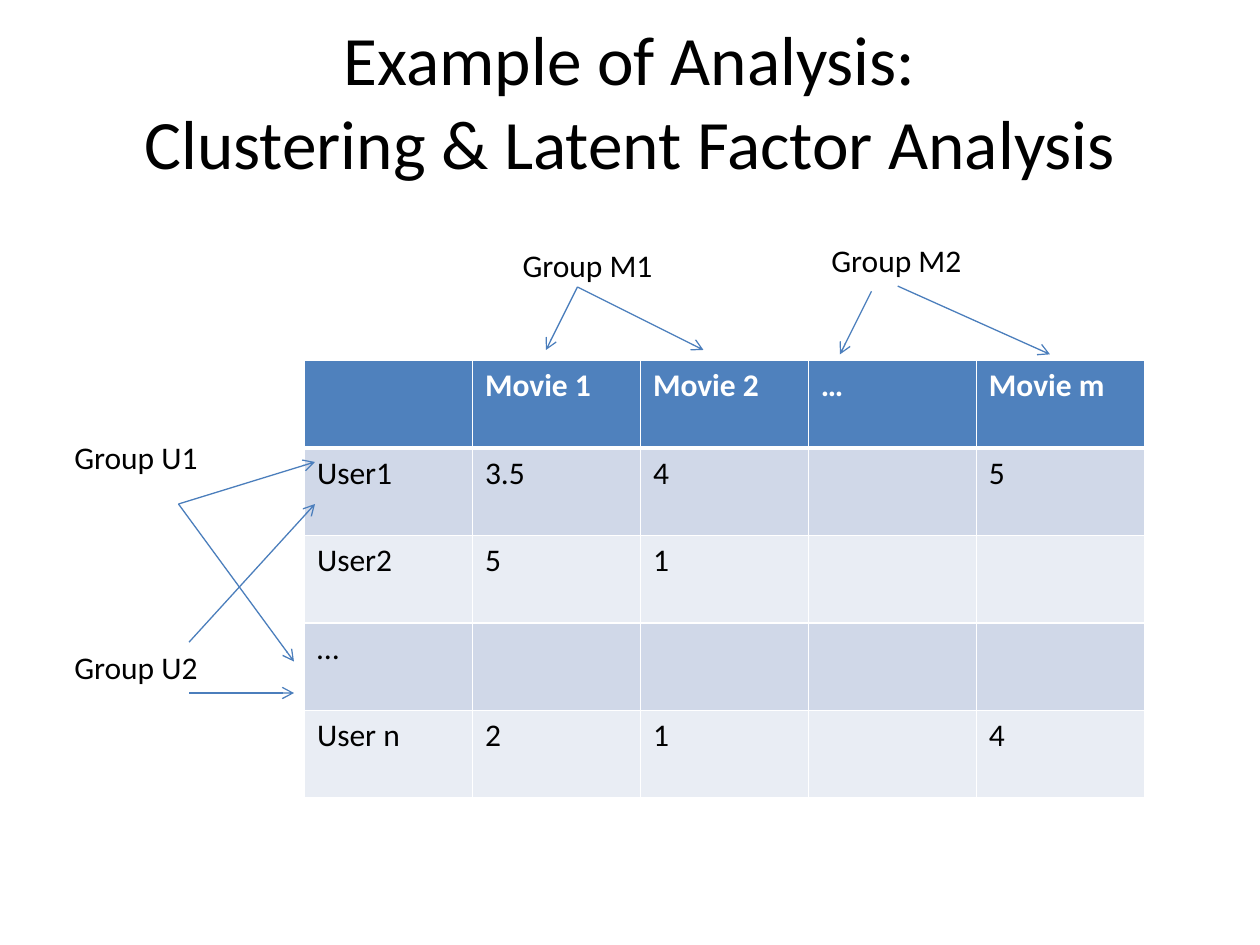
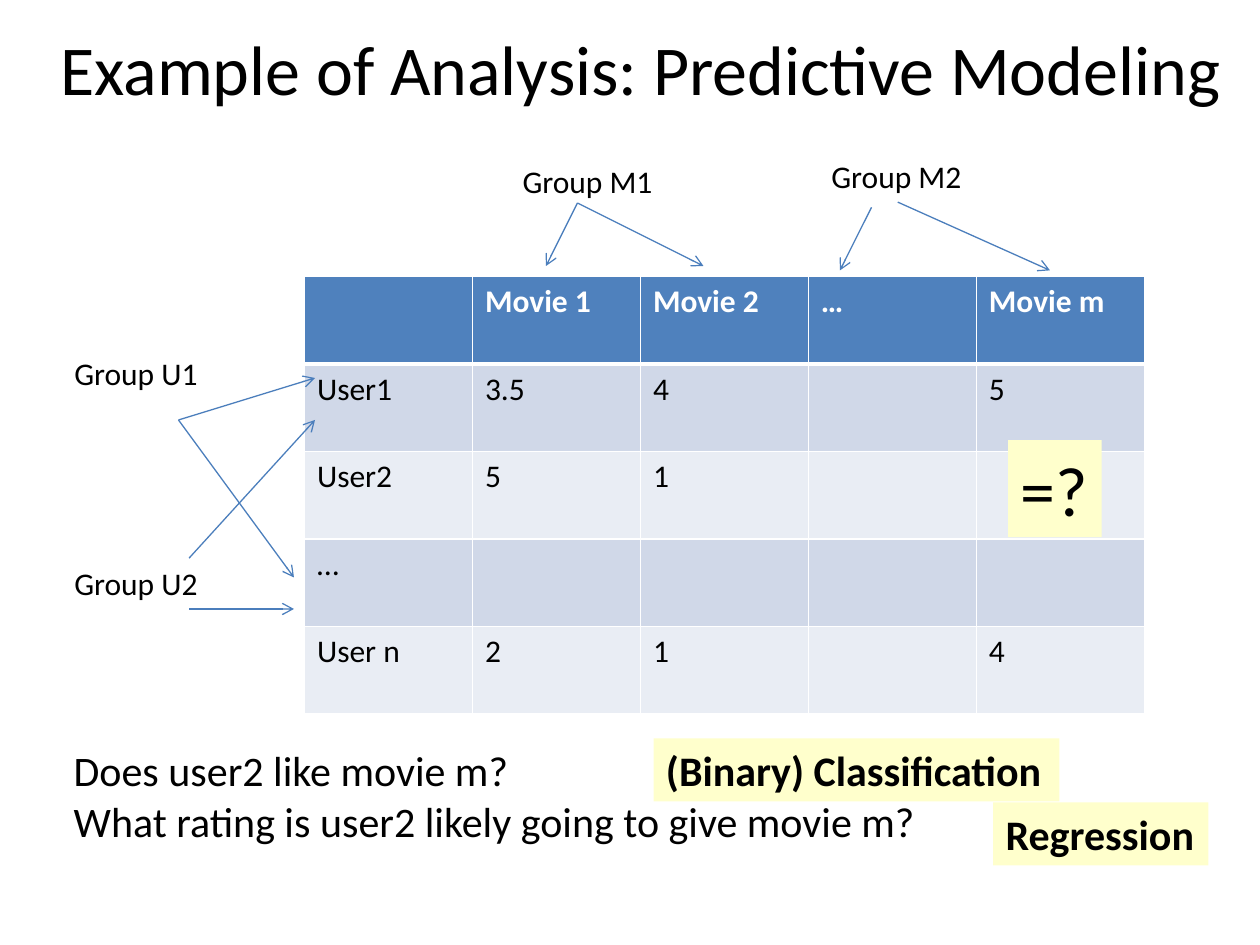
"""Build two slides on analysing a table of movie ratings."""
from lxml import etree
from pptx import Presentation
from pptx.dml.color import RGBColor
from pptx.enum import shapes, text
from pptx.oxml import ns
from pptx.util import Pt

FONT = "Calibri"
BLACK = RGBColor(0x00, 0x00, 0x00)
WHITE = RGBColor(0xFF, 0xFF, 0xFF)
HEADER = RGBColor(0x4F, 0x81, 0xBD)
BANDS = (RGBColor(0xE9, 0xED, 0xF4), RGBColor(0xD0, 0xD8, 0xE8))
ARROW = RGBColor(0x4B, 0x7E, 0xBC)
NOTE = RGBColor(0xFF, 0xFF, 0xCC)
LEFT, CENTER, RIGHT = text.PP_ALIGN.LEFT, text.PP_ALIGN.CENTER, text.PP_ALIGN.RIGHT

RATINGS = [
    ["", "Movie 1", "Movie 2", "…", "Movie m"],
    ["User1", "3.5", "4", "", "5"],
    ["User2", "5", "1", "", ""],
    ["…", "", "", "", ""],
    ["User n", "2", "1", "", "4"],
]
GRID_LEFT, COLUMN_WIDTH, ROW_HEIGHT = 174, 96, 50

# Vertical places of groups and arrows are measured from the top of the grid.
GROUPS = [
    ("Group M1", 291.5, -69, LEFT),
    ("Group M2", 468, -72, LEFT),
    ("Group U1", 30, 41, RIGHT),
    ("Group U2", 30, 161, RIGHT),
]
ARROWS = [
    (330, -42, 312, -6),
    (330, -42, 402, -6),
    (513, -42.5, 600, -3.5),
    (498, -39.5, 480, -3.5),
    (102, 82, 180, 58),
    (102, 82, 168, 172),
    (108, 190, 168, 190),
    (108, 161, 180, 82),
]

SLIDES = [
    {
        "title": ["Example of Analysis:", "Clustering & Latent Factor Analysis"],
        "title_place": (0, 18, 720, 78),
        "title_size": 39.6,
        "grid_top": 206,
        "questions": [],
        "notes": [],
    },
    {
        "title": ["Example of Analysis: Predictive Modeling"],
        "title_place": (12, 0, 708, 77),
        "title_size": 40,
        "grid_top": 158,
        "questions": [
            "Does user2 like movie m?",
            "What rating is user2 likely going to give movie m?",
        ],
        "notes": [
            ("=?", (576, 251.5, 53.5, 55.5), 40, False),
            ("(Binary) Classification", (373.5, 422, 232, 36), 24, True),
            ("Regression", (567.5, 458.5, 123, 36), 24, True),
        ],
    },
]
QUESTIONS_PLACE = (35, 422, 505, 65.5)


def add_run(para, words, size, color=BLACK, bold=False):
    span = para.add_run()
    span.text = words
    span.font.name = FONT
    span.font.size = Pt(size)
    span.font.bold = bold
    span.font.color.rgb = color


def add_text(page, lines, place, size, align=LEFT, bold=False, fill=None,
             anchor=text.MSO_ANCHOR.TOP):
    place = [Pt(length) for length in place]
    if fill is None:
        box = page.shapes.add_textbox(*place)
    else:
        box = page.shapes.add_shape(shapes.MSO_SHAPE.RECTANGLE, *place)
        box.shadow.inherit = False
        box.fill.solid()
        box.fill.fore_color.rgb = fill
        box.line.fill.background()
    frame = box.text_frame
    frame.word_wrap = True
    frame.vertical_anchor = anchor
    for index, line in enumerate(lines):
        para = frame.add_paragraph() if index else frame.paragraphs[0]
        para.alignment = align
        add_run(para, line, size, bold=bold)


def add_border(cell, side, width):
    properties = cell._tc.get_or_add_tcPr()
    line = etree.SubElement(properties, ns.qn(f"a:ln{side}"), w=str(Pt(width)))
    fill = etree.SubElement(line, ns.qn("a:solidFill"))
    etree.SubElement(fill, ns.qn("a:srgbClr"), val=str(WHITE))


def add_ratings(page, top):
    rows, columns = len(RATINGS), len(RATINGS[0])
    table = page.shapes.add_table(
        rows, columns, Pt(GRID_LEFT), Pt(top),
        Pt(columns * COLUMN_WIDTH), Pt(rows * ROW_HEIGHT)).table
    table.first_row = table.horz_banding = False
    for row, values in enumerate(RATINGS):
        is_header = row == 0
        for column, value in enumerate(values):
            cell = table.cell(row, column)
            for side in "LRTB":
                under_header = (row, side) in ((0, "B"), (1, "T"))
                add_border(cell, side, 3 if under_header else 1)
            cell.fill.solid()
            cell.fill.fore_color.rgb = HEADER if is_header else BANDS[row % 2]
            if value:
                add_run(cell.text_frame.paragraphs[0], value, 18,
                        WHITE if is_header else BLACK, is_header)


def add_arrow(page, *ends):
    arrow = page.shapes.add_connector(
        shapes.MSO_CONNECTOR.STRAIGHT, *[Pt(length) for length in ends])
    arrow.line.color.rgb = ARROW
    arrow.line.width = Pt(0.75)
    etree.SubElement(arrow.line._get_or_add_ln(), ns.qn("a:tailEnd"), type="arrow")
    etree.SubElement(arrow._element.spPr, ns.qn("a:effectLst"))


def build_slide(deck, content):
    page = deck.slides.add_slide(deck.slide_layouts[6])
    top = content["grid_top"]
    add_text(page, content["title"], content["title_place"], content["title_size"],
             align=CENTER, anchor=text.MSO_ANCHOR.MIDDLE)
    add_ratings(page, top)
    for x1, y1, x2, y2 in ARROWS:
        add_arrow(page, x1, top + y1, x2, top + y2)
    for name, left, offset, align in GROUPS:
        add_text(page, [name], (left, top + offset, 90, 29), 18, align)
    if content["questions"]:
        add_text(page, content["questions"], QUESTIONS_PLACE, 24)
    for words, place, size, bold in content["notes"]:
        add_text(page, [words], place, size, bold=bold, fill=NOTE)


def main():
    deck = Presentation()
    deck.slide_width, deck.slide_height = Pt(720), Pt(540)
    for content in SLIDES:
        build_slide(deck, content)
    deck.save("out.pptx")


if __name__ == "__main__":
    main()
